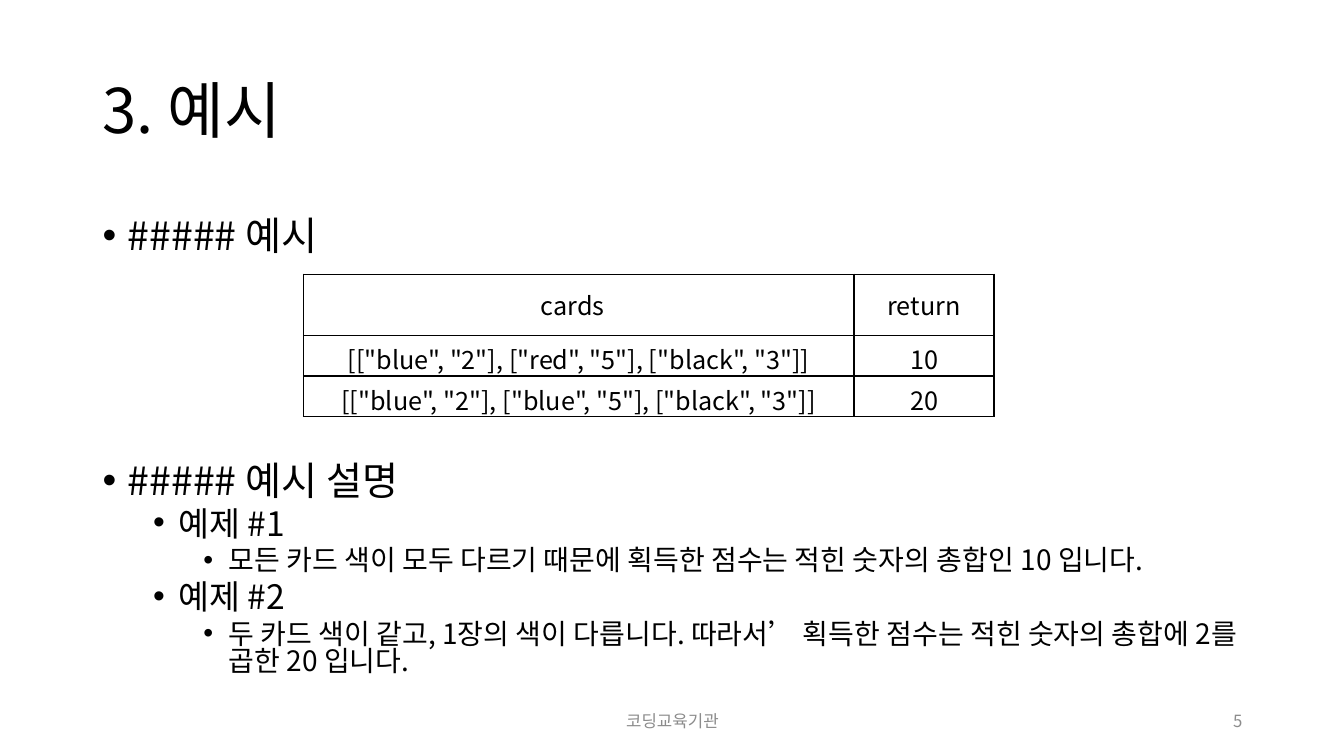
from pptx import Presentation
from pptx.dml.color import RGBColor
from pptx.enum.text import MSO_ANCHOR, PP_ALIGN
from pptx.oxml.ns import qn
from pptx.util import Inches, Pt
from lxml.etree import SubElement

COLORS = {"ink": "000000", "muted": "8C8C8C", "paper": "FFFFFF"}
FONT = "Noto Sans CJK KR"
LEVELS = [
    {"size": 28, "indent": 0.25, "before": 10},
    {"size": 24, "indent": 0.75, "before": 5},
    {"size": 20, "indent": 1.25, "before": 5},
]
EXPLANATION = [
    (0, "##### 예시 설명"),
    (1, "예제 #1"),
    (2, "모든 카드 색이 모두 다르기 때문에 획득한 점수는 적힌 숫자의 총합인 10 입니다."),
    (1, "예제 #2"),
    (2, "두 카드 색이 같고, 1장의 색이 다릅니다. 따라서’ 획득한 점수는 적힌 숫자의 총합에 2를 곱한 20 입니다."),
]
EXAMPLES = [
    ("cards", "return"),
    ('[["blue", "2"], ["red", "5"], ["black", "3"]]', "10"),
    ('[["blue", "2"], ["blue", "5"], ["black", "3"]]', "20"),
]


def apply(target, values):
    """Set each attribute of the target from a dict."""
    for name, value in values.items():
        setattr(target, name, value)


def write(para, text, size, color="ink", **layout):
    """Write one styled span into a paragraph."""
    apply(para, layout)
    span = para.add_run()
    span.text = text
    apply(span.font, {"name": FONT, "size": Pt(size)})
    span.font.color.rgb = RGBColor.from_string(COLORS[color])
    SubElement(span.font._element, qn("a:ea"), typeface=FONT)


def add_box(page, place, anchor=MSO_ANCHOR.MIDDLE):
    """Add a wrapping text box and return its frame."""
    frame = page.shapes.add_textbox(*map(Inches, place)).text_frame
    apply(frame, {"word_wrap": True, "vertical_anchor": anchor})
    return frame


def add_line(page, place, text, size, **style):
    """Add a box holding a single paragraph."""
    write(add_box(page, place).paragraphs[0], text, size, **style)


def add_bullets(page, place, items, spacing):
    """Add a bulleted outline from pairs of level and text."""
    frame = add_box(page, place, MSO_ANCHOR.TOP)
    for index, (level, text) in enumerate(items):
        para = frame.add_paragraph() if index else frame.paragraphs[0]
        look = LEVELS[level]
        write(para, text, look["size"], level=level, line_spacing=spacing,
              space_before=Pt(look["before"]))
        properties = para._p.get_or_add_pPr()
        properties.set("marL", str(Inches(look["indent"])))
        properties.set("indent", str(Inches(-0.25)))
        SubElement(properties, qn("a:buFont"), typeface="Arial")
        SubElement(properties, qn("a:buChar"), char="•")


def add_borders(cell):
    """Draw a thin line on all four sides of a cell."""
    properties = cell._tc.get_or_add_tcPr()
    for index, side in enumerate(("lnL", "lnR", "lnT", "lnB")):
        line = properties.makeelement(qn(f"a:{side}"), {"w": str(Pt(1))})
        fill = SubElement(line, qn("a:solidFill"))
        SubElement(fill, qn("a:srgbClr"), val=COLORS["ink"])
        properties.insert(index, line)


def add_examples(page, place, rows, widths, heights):
    """Add the table of inputs and results."""
    table = page.shapes.add_table(len(rows), len(widths), *map(Inches, place)).table
    apply(table, {"first_row": False, "horz_banding": False})
    for column, width in zip(table.columns, widths):
        column.width = Inches(width)
    for row, height, texts in zip(table.rows, heights, rows):
        row.height = Inches(height)
        for cell, text in zip(row.cells, texts):
            cell.vertical_anchor = MSO_ANCHOR.MIDDLE
            cell.fill.solid()
            cell.fill.fore_color.rgb = RGBColor.from_string(COLORS["paper"])
            add_borders(cell)
            write(cell.text_frame.paragraphs[0], text, 18, alignment=PP_ALIGN.CENTER)
    table.cell(0, 0).margin_right = Inches(0.22)


def main():
    """Build the slide and save the deck."""
    deck = Presentation()
    apply(deck, {"slide_width": Inches(13.33), "slide_height": Inches(7.5)})
    page = deck.slides.add_slide(deck.slide_layouts[6])
    add_line(page, (0.92, 0.4, 11.5, 1.45), "3. 예시", 44, line_spacing=0.9)
    add_bullets(page, (0.92, 2, 11.5, 0.7), [(0, "##### 예시")], 1.1)
    add_bullets(page, (0.92, 4.57, 11.5, 2.53), EXPLANATION, 0.8)
    add_examples(page, (3.01, 2.72, 6.85, 1.41), EXAMPLES, (5.46, 1.39), (0.61, 0.4, 0.4))
    add_line(page, (4.42, 6.95, 4.5, 0.4), "코딩교육기관", 12, color="muted",
             alignment=PP_ALIGN.CENTER)
    add_line(page, (9.42, 6.95, 3, 0.4), "5", 12, color="muted", alignment=PP_ALIGN.RIGHT)
    deck.save("out.pptx")


if __name__ == "__main__":
    main()
